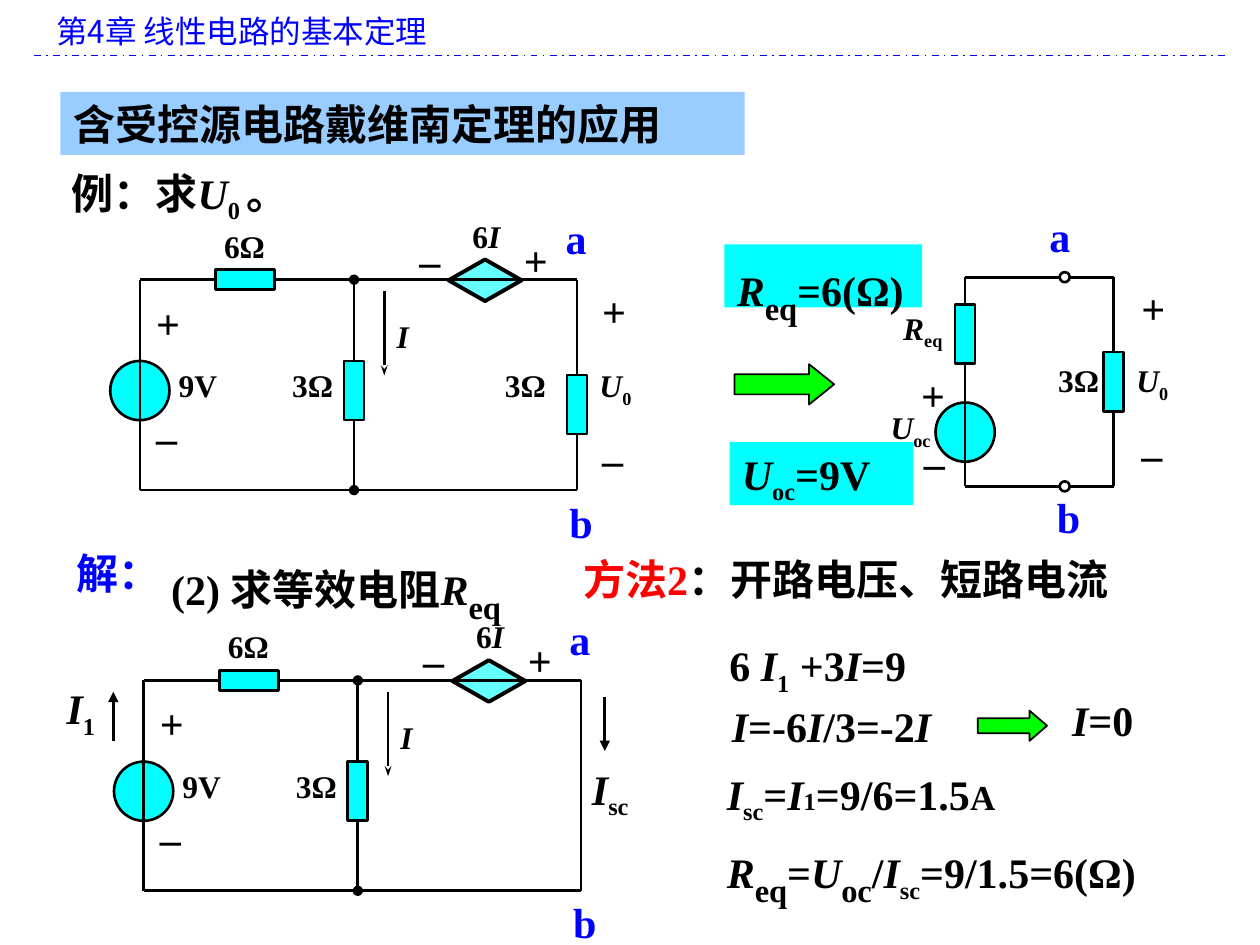
from lxml import etree
from pptx import Presentation
from pptx.dml.color import RGBColor
from pptx.enum.dml import MSO_LINE
from pptx.enum.shapes import MSO_CONNECTOR, MSO_SHAPE
from pptx.enum.text import MSO_ANCHOR, MSO_AUTO_SIZE, PP_ALIGN
from pptx.oxml.ns import qn
from pptx.util import Inches, Pt

RECT, OVAL = MSO_SHAPE.RECTANGLE, MSO_SHAPE.OVAL
DIAMOND, ARROW = MSO_SHAPE.DIAMOND, MSO_SHAPE.RIGHT_ARROW
STRAIGHT, DASH = MSO_CONNECTOR.STRAIGHT, MSO_LINE.DASH_DOT
LEFT, MID = PP_ALIGN.LEFT, PP_ALIGN.CENTER
TOP, MIDDLE = MSO_ANCHOR.TOP, MSO_ANCHOR.MIDDLE
FIXED = MSO_AUTO_SIZE.NONE
SERIF, SANS = "Times New Roman", "Noto Sans CJK SC"
BLACK, BLUE, CYAN, GREEN = "000000", "0000FF", "00FFFF", "00FF00"
# Run styles
IT, SUB, BIG = {"italic": True}, {"sub": True}, {"sub": True, "size": 32}
LONG, SHORT = 0.47, 0.16  # resistor sides


def rgb(code):
    return RGBColor.from_string(code)


def write(shape, parts, size=24, color=BLACK, font=SERIF, bold=True,
          align=LEFT, anchor=TOP, wrap=True):
    """Fill a shape with one line; a part is a string or (string, style)."""
    frame = shape.text_frame
    frame.word_wrap, frame.auto_size = wrap, FIXED
    frame.vertical_anchor = anchor
    para = frame.paragraphs[0]
    para.alignment, para.space_before = align, Pt(0)
    face = para.font
    face.name, face.size, face.bold = font, Pt(size), bold
    face.color.rgb = rgb(color)
    for part in [parts] if isinstance(parts, str) else parts:
        words, style = (part, {}) if isinstance(part, str) else part
        run = para.add_run()
        run.text = words
        if "italic" in style:
            run.font.italic = True
        if "size" in style:
            run.font.size = Pt(style["size"])
        if "color" in style:
            run.font.color.rgb = rgb(style["color"])
        if "sub" in style:
            run._r.get_or_add_rPr().set("baseline", "-25000")


class Pen:
    """Draws parts measured from the corner of a box."""

    def __init__(self, shapes, left=0, top=0):
        self.shapes, self.left, self.top = shapes, left, top

    def spot(self, x, y):
        return Inches(self.left + x), Inches(self.top + y)

    def text(self, x, y, wide, parts, size=24, **look):
        high = 0.5 if size == 24 else 0.4
        box = self.shapes.add_textbox(*self.spot(x, y), Inches(wide), Inches(high))
        write(box, parts, size, **look)

    def shape(self, kind, x, y, wide, high, fill=CYAN, width=1.5):
        item = self.shapes.add_shape(kind, *self.spot(x, y), Inches(wide), Inches(high))
        item.shadow.inherit = False
        if fill:
            item.fill.solid()
            item.fill.fore_color.rgb = rgb(fill)
        else:
            item.fill.background()
        if width:
            item.line.color.rgb = rgb(BLACK)
            item.line.width = Pt(width)
        else:
            item.line.fill.background()
        return item

    def line(self, x1, y1, x2, y2, color=BLACK, width=1.5, head=None, tail=None):
        wire = self.shapes.add_connector(STRAIGHT, *self.spot(x1, y1), *self.spot(x2, y2))
        wire.line.color.rgb = rgb(color)
        wire.line.width = Pt(width)
        edge = wire.line._get_or_add_ln()
        for end, kind in (("a:headEnd", head), ("a:tailEnd", tail)):
            if kind:
                tip = etree.SubElement(edge, qn(end), type=kind)
                if kind == "stealth":
                    tip.set("w", "sm")
        etree.SubElement(wire._element.spPr, qn("a:effectLst"))
        return wire

    def upright(self, x, y):
        """Vertical resistor centred on a point."""
        self.shape(RECT, x - SHORT / 2, y - LONG / 2, SHORT, LONG)

    def source(self, x, y):
        self.shape(OVAL, x - LONG / 2, y - LONG / 2, LONG, LONG)

    def panel(self, x, y, wide, parts):
        write(self.shape(RECT, x, y, wide, 0.5, CYAN, 0), parts)

    def arrow(self, x, y, wide, high, tip):
        item = self.shape(ARROW, x, y, wide, high, GREEN, 1)
        item.adjustments[0], item.adjustments[1] = 0.5, tip


def heading(slide):
    pen = Pen(slide.shapes)
    pen.text(0.35, 0.05, 9.37, "第4章 线性电路的基本定理", 18,
             color=BLUE, font=SANS, bold=False)
    pen.line(0.27, 0.44, 9.72, 0.44, BLUE, 1).line.dash_style = DASH
    title = slide.shapes.title
    title.left, title.top = pen.spot(0.48, 0.73)
    title.width, title.height = Inches(5.43), Inches(0.5)
    title.fill.solid()
    title.fill.fore_color.rgb = rgb("99CCFF")
    write(title, "含受控源电路戴维南定理的应用")
    pen.text(0.47, 1.28, 3.78, ["例：求", ("U", IT), ("0 ", SUB), "。"])


def mesh(shapes, left, top):
    """Parts that both two-loop circuits share."""
    pen = Pen(shapes, left, top)
    wide, high, mid = 3.47, 1.67, 1.7
    # Sources and wires
    pen.source(0, 0.88)
    gem = pen.shape(DIAMOND, 2.45, -0.16, 0.58, 0.33, "66FFFF", 2.25)
    link = pen.line(2.45, 0, 3.03, 0, width=0.75)
    link.begin_connect(gem, 1)
    link.end_connect(gem, 3)
    for y in (0, high):
        pen.line(0, y, wide, y)
    for x in (0, wide):
        pen.line(x, high, x, 0)
    pen.line(mid, 0, mid, high, head="oval", tail="oval")
    pen.line(1.94, 0.09, 1.94, 0.76, tail="stealth")
    # Resistors
    pen.upright(mid, 0.88)
    pen.shape(RECT, 0.6, -SHORT / 2, LONG, SHORT)
    # Labels
    for x, y, size, parts in (
            (1.11, 0.64, 0.75, "3Ω"), (0.57, -0.47, 0.67, "6Ω"),
            (0.21, 0.64, 0.67, "9V"), (1.94, 0.25, 0.5, [("I", IT)]),
            (2.54, -0.55, 0.75, ["6", ("I", IT)])):
        pen.text(x, y, size, parts, 18)
    for x, y, sign in ((0.03, 0.09, "+"), (0.03, 1, "–"),
                       (2.95, -0.41, "+"), (2.12, -0.41, "–")):
        pen.text(x, y, 0.45, sign)
    pen.text(3.28, -0.58, 0.5, "a", color=BLUE)
    pen.text(3.31, 1.67, 0.33, "b", color=BLUE)
    return pen


def loaded(shapes, left, top):
    pen = mesh(shapes, left, top)
    pen.upright(3.47, 0.99)
    pen.text(2.8, 0.64, 0.67, "3Ω", 18)
    pen.text(3.55, 0.64, 0.67, [("U", IT), ("0", SUB)], 18)
    pen.text(3.57, 0, 0.33, "+")
    pen.text(3.57, 1.17, 0.42, "–")


def shorted(shapes, left, top):
    pen = mesh(shapes, left, top)
    pen.line(3.66, 0.13, 3.66, 0.56, tail="triangle")
    pen.line(-0.24, 0.48, -0.24, 0.09, tail="triangle")
    pen.text(3.46, 0.61, 0.67, [("I", IT), ("sc", SUB)])
    pen.text(-0.71, -0.03, 0.67, [("I", IT), ("1", SUB)])


def reduced(shapes, left, top):
    """Equivalent circuit with its load."""
    pen = Pen(shapes, left, top)
    wide, high, dot = 1.18, 1.66, 0.08
    pen.source(0, 1.23)
    for y in (0, high):
        pen.line(0, y, 0.75, y)
        pen.line(0.75 + dot, y, wide, y)
        pen.shape(OVAL, 0.75, y - dot / 2, dot, dot, None)
    for x, y in ((0, 0.45), (wide, 0.83)):
        pen.line(x, high, x, 0)
        pen.upright(x, y)
    # Labels
    pen.text(-0.45, 0.68, 0.39, "+", align=MID, anchor=MIDDLE, wrap=False)
    pen.text(-0.43, 1.1, 0.37, "_", align=MID, anchor=MIDDLE)
    pen.text(-0.59, 0.2, 0.67, [("R", IT), ("eq", SUB)], 18)
    pen.text(-0.69, 0.99, 0.73, [("U", IT), ("oc", SUB)], 18)
    pen.text(0.64, 0.62, 0.67, "3Ω", 18)
    pen.text(1.26, 0.62, 0.67, [("U", IT), ("0", SUB)], 18)
    pen.text(1.3, -0.01, 0.33, "+")
    pen.text(1.3, 1.15, 0.42, "–")
    pen.text(0.57, -0.58, 0.5, "a", color=BLUE)
    pen.text(0.63, 1.65, 0.33, "b", color=BLUE)


def results(shapes, left, top):
    pen = Pen(shapes, left, top)
    pen.panel(0, 0, 1.57, [("R", IT), ("eq", BIG), "=6(Ω)"])
    pen.arrow(0.08, 0.95, 0.79, 0.32, 0.622)
    pen.panel(0.04, 1.57, 1.46, [("U", IT), ("oc", SUB), "=9V"])


def solving(shapes, left, top):
    pen = Pen(shapes, left, top)
    pen.text(0, 0, 1.17, "解：", color=BLUE)
    pen.text(0.75, 0.01, 4.41, ["(2) 求等效电阻", ("R", IT), ("eq", BIG)])
    pen.text(4.02, 0.04, 4.67, [("方法2", {"color": "FF0000"}), "：开路电压、短路电流"])


def working(shapes, left, top):
    pen = Pen(shapes, left, top)
    pen.text(0.02, 0, 1.75, ["6 ", ("I", IT), ("1", SUB), " +3", ("I", IT), "=9"])
    pen.text(0.04, 0.48, 2.08, [("I", IT), "=-6", ("I", IT), "/3=-2", ("I", IT)])
    pen.arrow(2.09, 0.61, 0.55, 0.24, 0.579)
    pen.text(2.74, 0.43, 0.92, [("I", IT), "=0"])
    pen.text(0, 1.02, 2.75, [("I", IT), ("sc", SUB), "=", ("I", IT),
                             ("1", {"size": 14}), "=9/6=1.5", ("A", {"size": 20})])
    pen.text(0, 1.53, 4.3, [("R", IT), ("eq", BIG), "=", ("U", IT), ("oc", BIG), "/",
                            ("I", IT), ("sc", SUB), "=9/1.5=6(Ω)"])


def main():
    deck = Presentation()
    deck.slide_width, deck.slide_height = Inches(10), Inches(7.5)
    slide = deck.slides.add_slide(deck.slide_layouts[5])
    shapes = slide.shapes
    heading(slide)
    results(shapes, 5.75, 1.94)
    loaded(shapes, 1.11, 2.22)
    reduced(shapes, 7.66, 2.2)
    solving(shapes, 0.51, 4.3)
    shorted(shapes, 1.14, 5.4)
    working(shapes, 5.67, 5.03)
    deck.save("out.pptx")


if __name__ == "__main__":
    main()
